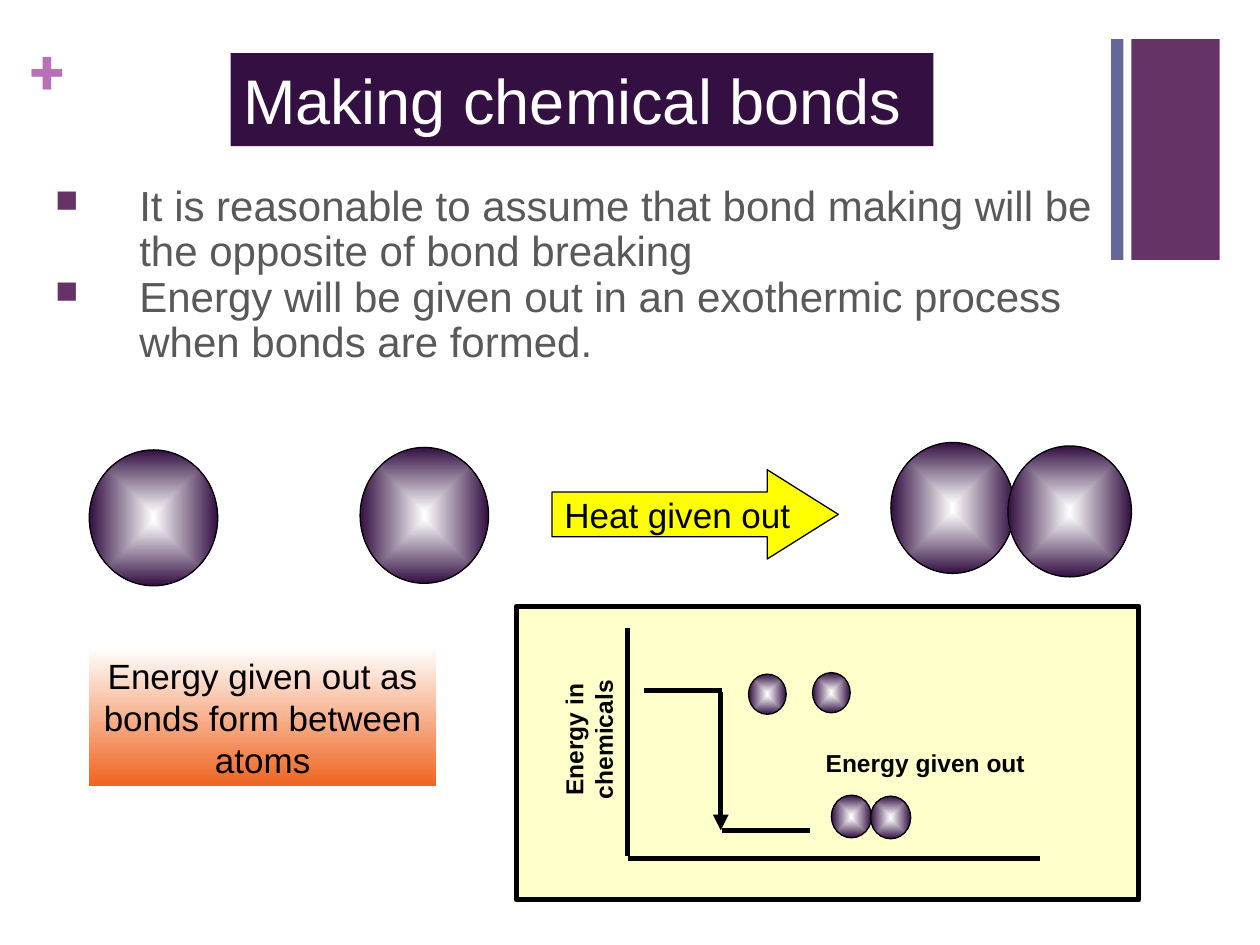
from pptx import Presentation
from pptx import util as u
from pptx.dml import color
from pptx.enum import shapes, text
from pptx.oxml import parse_xml
from pptx.oxml.ns import nsdecls, qn
from lxml import etree

Cm, Pt = u.Cm, u.Pt
Kind = shapes.MSO_SHAPE
Align = text.PP_ALIGN
Mid = text.MSO_ANCHOR.MIDDLE
HEX = {
    "plum": "663366", "slate": "666699", "pink": "B870B8", "dark": "330F42",
    "grey": "595959", "white": "FFFFFF", "black": "000000",
    "yellow": "FFFF00", "cream": "FFFFCC", "orange": "EF641F",
}
RGB = {name: color.RGBColor.from_string(code) for name, code in HEX.items()}


def draw(group, kind, box, fill, line=None):
    shape = group.add_shape(kind, *[Cm(n) for n in box])
    shape.shadow.inherit = False
    if isinstance(fill, tuple):
        shape.fill.gradient()
        shape.fill.gradient_angle = 270
        for stop, name in zip(shape.fill.gradient_stops, fill):
            stop.color.rgb = RGB[name]
    else:
        shape.fill.solid()
        shape.fill.fore_color.rgb = RGB[fill]
    if line:
        shape.line.color.rgb = RGB["black"]
        shape.line.width = Pt(line)
    else:
        shape.line.fill.background()
    return shape


def write(shape, lines, size, tint, bold=False, align=Align.CENTER,
          anchor=text.MSO_ANCHOR.TOP, wrap=True, face="Arial"):
    frame = shape.text_frame
    frame.text = lines
    frame.word_wrap = wrap
    frame.vertical_anchor = anchor
    for para in frame.paragraphs:
        para.alignment = align
        for run in para.runs:
            run.font.size = Pt(size)
            run.font.name = face
            run.font.bold = bold
            run.font.color.rgb = RGB[tint]
    return frame


deck = Presentation()
deck.slide_width, deck.slide_height = Cm(25.4), Cm(19.05)
slide = deck.slides.add_slide(deck.slide_layouts[6])
page = slide.shapes

draw(page, Kind.RECTANGLE, (22.81, 0.79, 1.78, 4.45), "plum")
draw(page, Kind.RECTANGLE, (22.4, 0.79, 0.25, 4.45), "slate")
plus = page.add_textbox(Cm(0.61), Cm(0.64), Cm(0.74), Cm(1.55))
frame = write(plus, "+", 36, "pink", True, Align.LEFT, face="Roboto Slab")
frame.margin_left = frame.margin_right = 0
frame.margin_top = frame.margin_bottom = 0

title = draw(page, Kind.RECTANGLE, (4.65, 1.07, 14.17, 1.88), "dark")
write(title, "Making chemical bonds", 36, "white", align=Align.LEFT, anchor=Mid)

body = page.add_textbox(Cm(0.86), Cm(3.61), Cm(21.46), Cm(4.9))
frame = write(
    body,
    "It is reasonable to assume that bond making will be the opposite of bond breaking\n"
    "Energy will be given out in an exothermic process when bonds are formed.",
    24, "grey", align=Align.LEFT)
for para in frame.paragraphs:
    para.line_spacing = 0.9
    props = para._p.get_or_add_pPr()
    props.set("marL", str(Cm(1.7)))
    props.set("indent", str(Cm(-1.7)))
    tint = etree.SubElement(props, qn("a:buClr"))
    etree.SubElement(tint, qn("a:srgbClr"), val=HEX["plum"])
    etree.SubElement(props, qn("a:buSzPct"), val="75000")
    etree.SubElement(props, qn("a:buChar"), char="■")

arrow = draw(page, Kind.RIGHT_ARROW, (11.13, 9.47, 5.77, 1.8), "yellow", 0.75)
arrow.adjustments[1] = 0.796
write(arrow, "Heat given out", 20, "black", anchor=Mid, wrap=False)

note = draw(page, Kind.RECTANGLE, (1.8, 13.06, 6.99, 2.79), ("white", "orange"))
write(note, "Energy given out as bonds form between atoms", 20, "black")

panel = page.add_group_shape().shapes
draw(panel, Kind.RECTANGLE, (10.41, 12.22, 12.55, 5.92), "cream", 3)
for ends in [
    (12.65, 12.65, 12.65, 17.25),
    (12.65, 17.3, 20.96, 17.3),
    (14.55, 16.74, 16.33, 16.74),
    (12.98, 13.92, 14.55, 13.92),
    (14.53, 13.94, 14.53, 16.74),
]:
    link = panel.add_connector(shapes.MSO_CONNECTOR.STRAIGHT, *[Cm(n) for n in ends])
    link.line.color.rgb = RGB["black"]
    link.line.width = Pt(3)
    etree.SubElement(link._element.spPr, qn("a:effectLst"))
etree.SubElement(link.line._get_or_add_ln(), qn("a:tailEnd"), type="triangle")

axis = panel.add_textbox(Cm(9.42), Cm(14.3), Cm(4.88), Cm(1.22))
axis.rotation = 270
write(axis, "Energy in chemicals", 14, "black", True, anchor=Mid, wrap=False)
label = panel.add_textbox(Cm(16.05), Cm(14.96), Cm(5.21), Cm(0.84))
write(label, "Energy given out", 14, "black", True)

pair = page.add_group_shape().shapes
for group, wide, high, spots in [
    (page, 2.59, 2.74, [(1.8, 9.07), (7.26, 9.02)]),
    (panel, 0.81, 0.86, [(16.76, 16.03), (17.55, 16.05)]),
    (panel, 0.76, 0.81, [(16.38, 13.56), (15.09, 13.59)]),
    (pair, 2.49, 2.64, [(17.96, 8.92), (20.32, 8.99)]),
]:
    for left, top in spots:
        atom = draw(group, Kind.OVAL, (left, top, wide, high), ("white", "dark"), 0.75)
        grad = atom._element.spPr.find(qn("a:gradFill"))
        grad.replace(grad.find(qn("a:lin")), parse_xml(
            f'<a:path {nsdecls("a")} path="shape">'
            '<a:fillToRect l="50000" t="50000" r="50000" b="50000"/></a:path>'))

deck.save("out.pptx")
